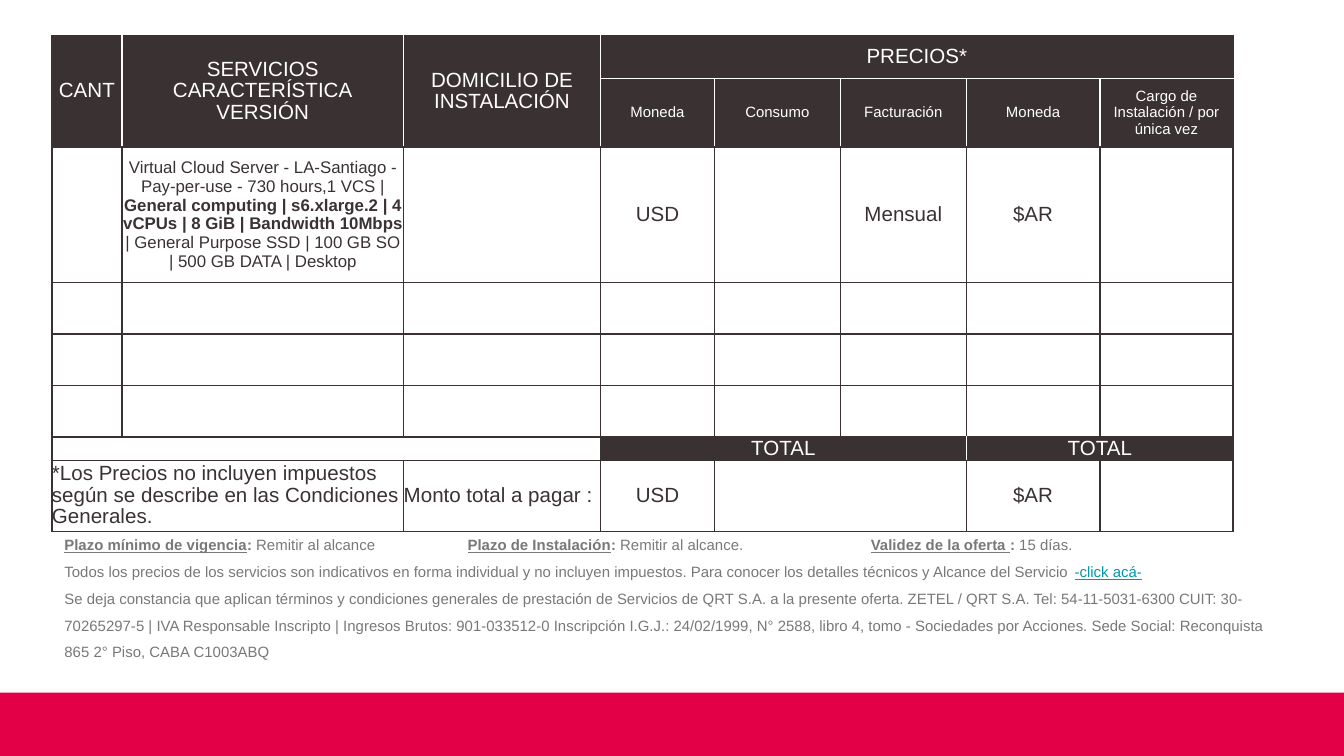
from dataclasses import dataclass
from itertools import product

from lxml.etree import SubElement
from pptx import Presentation
from pptx.dml.color import RGBColor as RGB
from pptx.enum.shapes import MSO_SHAPE as Shape
from pptx.enum.text import MSO_ANCHOR as Anchor, PP_ALIGN as Align
from pptx.oxml.ns import qn
from pptx.util import Pt


@dataclass(frozen=True)
class Theme:
    font: str = "Arial"
    dark: str = "3A3232"
    white: str = "FFFFFF"
    red: str = "E30046"
    grey: str = "787878"
    link: str = "0097A7"
    big: float = 11
    mid: float = 9
    small: float = 8
    pitch: float = 11.5
    line: float = 1


THEME = Theme()

COLS = [37.5, 151, 105.5, 61, 67.5, 67.5, 71.5, 71.5]
ROWS = [22.7, 36.8, 72.5, 27.6, 27.6, 27.6, 12.7, 38]
HEADS = ["Moneda", "Consumo", "Facturación", "Moneda",
         "Cargo de Instalación / por única vez"]
# Each merge: row, column, last row, last column
MERGES = [(0, 0, 1, 0), (0, 1, 1, 1), (0, 2, 1, 2), (0, 3, 0, 7),
          (6, 0, 6, 2), (6, 3, 6, 5), (6, 6, 6, 7),
          (7, 0, 7, 1), (7, 4, 7, 5)]
# Each text: lines of (text, bold) runs
TEXTS = {
    (0, 0): [[("CANT", False)]],
    (0, 1): [[(word, False)] for word in
             ("SERVICIOS", "CARACTERÍSTICA", "VERSIÓN")],
    (0, 2): [[("DOMICILIO DE INSTALACIÓN", False)]],
    (0, 3): [[("PRECIOS*", False)]],
    **{(1, 3 + i): [[(head, False)]] for i, head in enumerate(HEADS)},
    (2, 1): [[
        ("Virtual Cloud Server - LA-Santiago - Pay-per-use - 730 hours,1 VCS | ",
         False),
        ("General computing | s6.xlarge.2 | 4 vCPUs | 8 GiB | Bandwidth 10Mbps",
         True),
        (" | General Purpose SSD | 100 GB SO | 500 GB DATA | Desktop", False)]],
    (2, 3): [[("USD", False)]],
    (2, 5): [[("Mensual", False)]],
    (2, 6): [[("$AR", False)]],
    (6, 3): [[("TOTAL", False)]],
    (6, 6): [[("TOTAL", False)]],
    (7, 0): [[("*Los Precios no incluyen impuestos según se describe en las "
               "Condiciones Generales.", False)]],
    (7, 2): [[("Monto total a pagar :", False)]],
    (7, 3): [[("USD", False)]],
    (7, 6): [[("$AR", False)]],
}
TERMS = [("Plazo mínimo de vigencia", "Remitir al alcance"),
         ("Plazo de Instalación", "Remitir al alcance."),
         ("Validez de la oferta ", "15 días.")]
NOTE = ("Todos los precios de los servicios son indicativos en forma individual "
        "y no incluyen impuestos. Para conocer los detalles técnicos y Alcance "
        "del Servicio ")
LEGAL = ("Se deja constancia que aplican términos y condiciones generales de "
         "prestación de Servicios de QRT S.A. a la presente oferta. ZETEL / QRT "
         "S.A. Tel: 54-11-5031-6300 CUIT: 30-70265297-5 | IVA Responsable "
         "Inscripto | Ingresos Brutos: 901-033512-0 Inscripción I.G.J.: "
         "24/02/1999, N° 2588, libro 4, tomo - Sociedades por Acciones. Sede "
         "Social: Reconquista 865 2° Piso, CABA C1003ABQ")


def add_run(para, text, size, color, bold=False, under=False):
    run = para.add_run()
    run.text = text
    font = run.font
    font.name, font.size = THEME.font, Pt(size)
    font.bold, font.underline = bold, under
    font.color.rgb = RGB.from_string(color)


def is_dark(row, col):
    return row in (0, 1) or (row == 6 and 3 <= col < len(COLS))


def edges(row, col, end, last):
    """White between two dark cells, dark anywhere else."""
    beside = {"L": col > 0 and is_dark(row, col - 1),
              "R": last + 1 < len(COLS) and is_dark(row, last + 1),
              "T": row > 0 and is_dark(row - 1, col),
              "B": is_dark(end + 1, col)}
    own = is_dark(row, col)
    return {side: THEME.white if own and dark else THEME.dark
            for side, dark in beside.items()}


def dress(cell, dark, lines):
    """Set margins, empty text size, borders and fill."""
    cell.margin_left = cell.margin_right = 0
    cell.margin_top = cell.margin_bottom = 0
    cell.vertical_anchor = Anchor.MIDDLE
    end = cell.text_frame.paragraphs[0]._p.get_or_add_endParaRPr()
    end.set("sz", str(THEME.small * 100))
    props = cell._tc.get_or_add_tcPr()
    for side, color in lines.items():
        line = SubElement(props, qn(f"a:ln{side}"), w=str(Pt(THEME.line)))
        fill = SubElement(line, qn("a:solidFill"))
        SubElement(fill, qn("a:srgbClr"), val=color)
    if dark:
        cell.fill.solid()
        cell.fill.fore_color.rgb = RGB.from_string(THEME.dark)
    else:
        cell.fill.background()


def write(cell, row, col, lines):
    size = {1: THEME.small, 2: THEME.mid if col == 1 else THEME.big}.get(
        row, THEME.big)
    color = THEME.white if is_dark(row, col) else THEME.dark
    frame = cell.text_frame
    for i, line in enumerate(lines):
        para = frame.add_paragraph() if i else frame.paragraphs[0]
        para.alignment = Align.LEFT if row == 7 and col < 3 else Align.CENTER
        if size == THEME.big:
            para.line_spacing = Pt(THEME.pitch)
        for text, bold in line:
            add_run(para, text, size, color, bold)


def price_table(slide, x, y):
    frame = slide.shapes.add_table(len(ROWS), len(COLS), Pt(x), Pt(y),
                                   Pt(sum(COLS)), Pt(sum(ROWS)))
    table = frame.table
    table.first_row = table.horz_banding = False
    for col, width in zip(table.columns, COLS):
        col.width = Pt(width)
    for row, height in zip(table.rows, ROWS):
        row.height = Pt(height)
    blocks = {(r, c): (r, c, r, c)
              for r, c in product(range(len(ROWS)), range(len(COLS)))}
    for block in MERGES:
        row, col, end, last = block
        table.cell(row, col).merge(table.cell(end, last))
        for spot in product(range(row, end + 1), range(col, last + 1)):
            blocks[spot] = block
    for (row, col), block in blocks.items():
        dress(table.cell(row, col), is_dark(row, col), edges(*block))
    for (row, col), lines in TEXTS.items():
        write(table.cell(row, col), row, col, lines)


def terms(slide, x, y, w, h):
    frame = slide.shapes.add_textbox(Pt(x), Pt(y), Pt(w), Pt(h)).text_frame
    frame.word_wrap = True
    frame.vertical_anchor = Anchor.MIDDLE
    top, note = frame.paragraphs[0], frame.add_paragraph()
    top.line_spacing = note.line_spacing = 1.5

    tabs = SubElement(top._p.get_or_add_pPr(), qn("a:tabLst"))
    for i in range(1, len(TERMS)):
        SubElement(tabs, qn("a:tab"), pos=str(Pt(216 * i)), algn="l")
    size, grey = THEME.small, THEME.grey
    for i, (name, value) in enumerate(TERMS):
        gap = "\t" if i < len(TERMS) - 1 else ""
        add_run(top, name, size, grey, bold=True, under=True)
        add_run(top, ": ", size, grey, bold=True)
        add_run(top, value + gap, size, grey)

    add_run(note, NOTE, size, grey)
    add_run(note, "-click acá-", size, THEME.link, under=True)
    note.add_line_break()
    add_run(note, LEGAL, size, grey)


def band(slide, x, y, w, h):
    bar = slide.shapes.add_shape(Shape.RECTANGLE, Pt(x), Pt(y), Pt(w), Pt(h))
    bar.shadow.inherit = False
    bar.fill.solid()
    bar.fill.fore_color.rgb = RGB.from_string(THEME.red)
    bar.line.fill.background()


def main():
    deck = Presentation()
    deck.slide_width, deck.slide_height = Pt(720), Pt(405)
    slide = deck.slides.add_slide(deck.slide_layouts[6])
    band(slide, 0, 371, 720, 34)
    terms(slide, 27.4, 275.6, 665.5, 85)
    price_table(slide, 27.8, 19.3)
    deck.save("out.pptx")


if __name__ == "__main__":
    main()
